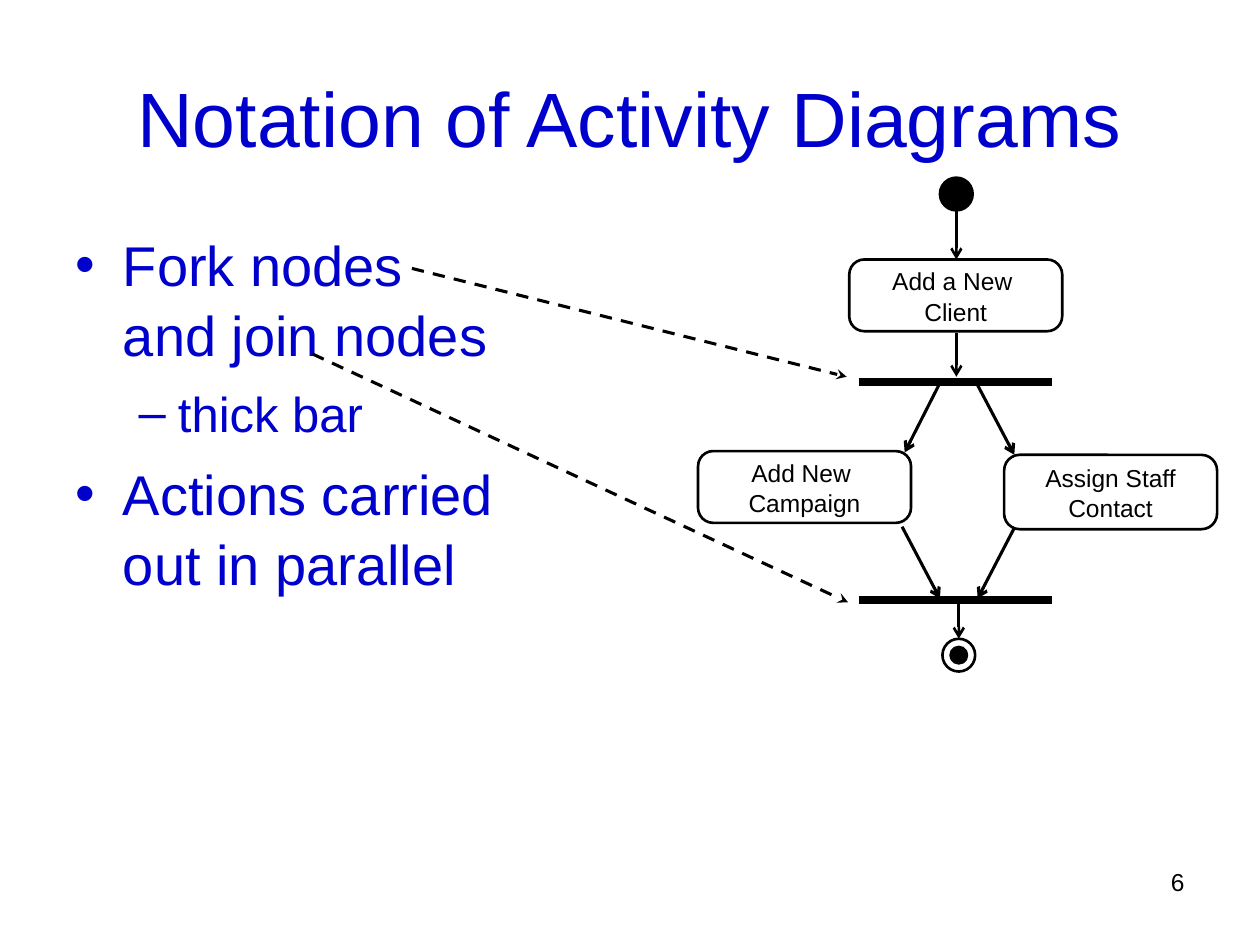
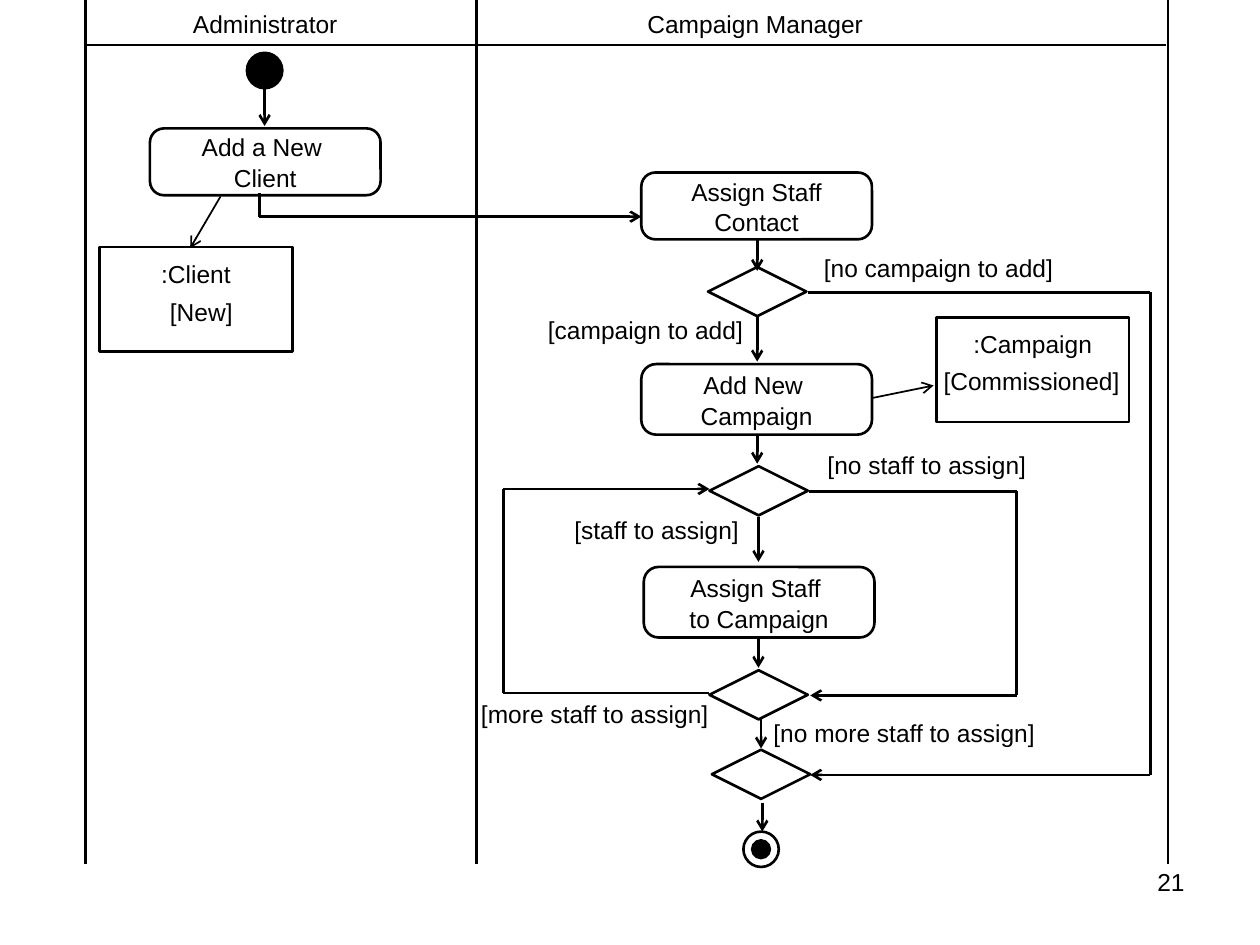
"""Build two slides on the notation of activity diagrams."""
from dataclasses import dataclass
from itertools import pairwise

from lxml.etree import SubElement
from pptx import Presentation
from pptx.dml.color import RGBColor
from pptx.enum.dml import MSO_LINE
from pptx.enum.shapes import MSO_CONNECTOR, MSO_SHAPE
from pptx.enum.text import MSO_ANCHOR, MSO_AUTO_SIZE, PP_ALIGN
from pptx.oxml.ns import qn
from pptx.shapes.autoshape import Shape
from pptx.slide import Slide
from pptx.text.text import TextFrame
from pptx.util import Pt


@dataclass(frozen=True)
class Theme:
    """Colours, font, type sizes and line widths of the deck."""
    blue: RGBColor = RGBColor(0x00, 0x00, 0xCC)
    black: RGBColor = RGBColor(0x00, 0x00, 0x00)
    white: RGBColor = RGBColor(0xFF, 0xFF, 0xFF)
    font: str = "Arial"
    title: float = 44
    levels: tuple[float, ...] = (32, 28)
    label: float = 14
    line_spacing: float = 1.05
    thin: float = 1
    medium: float = 1.5
    strong: float = 1.75
    bar: float = 4.5


THEME = Theme()


@dataclass(frozen=True)
class Node:
    """An outlined shape with optional text."""
    left: float
    top: float
    width: float
    height: float
    text: str = ""
    kind: MSO_SHAPE = MSO_SHAPE.ROUNDED_RECTANGLE
    anchor: MSO_ANCHOR = MSO_ANCHOR.MIDDLE


@dataclass(frozen=True)
class Route:
    """A line through points, with an optional arrowhead at its end."""
    points: tuple[tuple[float, float], ...]
    width: float = THEME.medium
    head: str = "arrow"
    dashed: bool = False


@dataclass(frozen=True)
class Label:
    """A line of free text."""
    left: float
    top: float
    text: str
    width: float = 200
    height: float = 24.5
    align: PP_ALIGN = PP_ALIGN.LEFT


@dataclass(frozen=True)
class Diagram:
    """All parts of one activity diagram."""
    start: tuple[float, float]
    end: tuple[float, float]
    diameter: float
    nodes: tuple[Node, ...]
    routes: tuple[Route, ...]
    labels: tuple[Label, ...]


def vertical(x: float, top: float, bottom: float) -> Route:
    """Return a downward arrow."""
    return Route(((x, top), (x, bottom)))


def plain(x1: float, y1: float, x2: float, y2: float, width: float) -> Route:
    """Return a line without an arrowhead."""
    return Route(((x1, y1), (x2, y2)), width, "")


def diagonal(x1: float, y1: float, x2: float, y2: float, width: float = THEME.strong) -> Route:
    """Return a slanted arrow."""
    return Route(((x1, y1), (x2, y2)), width)


def pointer(x1: float, y1: float, x2: float, y2: float) -> Route:
    """Return a dashed arrow from the text to the diagram."""
    return Route(((x1, y1), (x2, y2)), THEME.strong, "stealth", True)


def diamond(left: float, top: float) -> Node:
    """Return a decision or merge node."""
    return Node(left, top, 56.2, 28.1, kind=MSO_SHAPE.DIAMOND)


def object_box(left: float, top: float, text: str) -> Node:
    """Return an object node with its name at the top."""
    return Node(left, top, 110.2, 59.8, text, MSO_SHAPE.RECTANGLE, MSO_ANCHOR.TOP)


def page_number(number: int) -> Label:
    """Return the number in the lower right corner."""
    return Label(516.2, 491.8, str(number), 167.8, 37.4, PP_ALIGN.RIGHT)


FORK_Y, JOIN_Y = 218.2, 342.7
FORK_JOIN = Diagram(
    start=(546.5, 110.9),
    end=(547.9, 374.4),
    diameter=18.7,
    nodes=(
        Node(485.3, 148.3, 121.7, 41, "Add a New \vClient"),
        Node(573.8, 259.9, 121.7, 42.5, "Assign Staff\vContact"),
        Node(398.9, 257.8, 121.7, 41, "Add New \nCampaign"),
    ),
    routes=(
        vertical(546.5, 120.2, 148.3),
        vertical(546.5, 190.1, 215.3),
        vertical(547.9, 343.4, 365),
        *(plain(491, y, 601.2, y, THEME.bar) for y in (FORK_Y, JOIN_Y)),
        diagonal(537.1, 218.9, 517, 258.5),
        diagonal(558, 218.9, 579.6, 259.9),
        diagonal(579.6, 301.7, 558.7, 342),
        diagonal(515.5, 301, 537.1, 342),
        pointer(235.4, 153.4, 483.8, 215.3),
        pointer(178.6, 202.3, 484.6, 344.2),
    ),
    labels=(page_number(6),),
)

LANE_EDGES = (49, 272.2, 667.4)
SWIMLANES = Diagram(
    start=(151.2, 40.3),
    end=(434.9, 485.3),
    diameter=20.2,
    nodes=(
        Node(85.7, 73.4, 131.8, 38.2, "Add a New \vClient"),
        Node(366.5, 98.6, 131.8, 38.2, "Assign Staff\vContact"),
        Node(366.5, 208.1, 131.8, 40.3, "Add New \nCampaign"),
        Node(367.9, 324, 131.8, 40.3, "Assign Staff \nto Campaign"),
        diamond(404.6, 152.6),
        diamond(405.4, 266.4),
        diamond(405.4, 383),
        diamond(406.8, 428.4),
        object_box(56.9, 141.1, ":Client"),
        object_box(535, 181.4, ":Campaign"),
    ),
    routes=(
        *(plain(x, 0, x, 493.9, THEME.medium) for x in LANE_EDGES),
        plain(49, 25.9, 666, 25.9, THEME.thin),
        vertical(151.2, 50.4, 72),
        vertical(432.7, 136.8, 154.8),
        vertical(432.7, 180.7, 206.6),
        vertical(432.7, 248.4, 265),
        vertical(433.4, 295.2, 321.1),
        vertical(433.4, 365, 381.6),
        vertical(434.9, 411.1, 427.7),
        vertical(435.6, 458.6, 475.2),
        Route(((148.3, 110.2), (148.3, 123.8), (366.5, 123.8))),
        Route(((461.5, 167), (657.4, 167), (657.4, 442.8), (463, 442.8))),
        Route(((462.2, 280.8), (581, 280.8), (581, 397.4), (463, 397.4))),
        Route(((405.4, 396), (287.6, 396), (287.6, 279.4), (405.4, 279.4))),
        diagonal(126, 112.3, 108.7, 141.8, THEME.thin),
        diagonal(498.2, 227.5, 533.5, 220.3, THEME.thin),
    ),
    labels=(
        Label(96.6, 1.4, "Administrator", 110, align=PP_ALIGN.CENTER),
        Label(356.6, 1.4, "Campaign Manager", 150, align=PP_ALIGN.CENTER),
        Label(463.7, 141.1, "[no campaign to add]"),
        Label(306, 176.4, "[campaign to add]"),
        Label(465.8, 253.4, "[no staff to assign]"),
        Label(321.1, 290.9, "[staff to assign]"),
        Label(267.8, 396, "[more staff to assign]"),
        Label(434.9, 406.8, "[no more staff to assign]"),
        Label(90, 166.3, "[New]", 60),
        Label(532.1, 205.9, "[Commissioned]", 122),
        page_number(21),
    ),
)

BULLETS = (
    (0, "Fork nodes \vand join nodes"),
    (1, "thick bar"),
    (0, "Actions carried \vout in parallel"),
)


def format_text(frame: TextFrame, size: float, color: RGBColor, align: PP_ALIGN) -> None:
    """Apply font, size, colour and alignment to all paragraphs."""
    for para in frame.paragraphs:
        para.alignment = align
        for span in para.runs:
            span.font.name = THEME.font
            span.font.size = Pt(size)
            span.font.color.rgb = color


def draw_shape(page: Slide, node: Node, fill: RGBColor = THEME.white) -> Shape:
    """Draw one outlined shape and its text."""
    shape = page.shapes.add_shape(
        node.kind, Pt(node.left), Pt(node.top), Pt(node.width), Pt(node.height))
    shape.shadow.inherit = False
    shape.fill.solid()
    shape.fill.fore_color.rgb = fill
    shape.line.color.rgb = THEME.black
    shape.line.width = Pt(THEME.medium)
    if node.kind == MSO_SHAPE.ROUNDED_RECTANGLE:
        shape.adjustments[0] = 0.21
    if node.text:
        frame = shape.text_frame
        frame.text = node.text
        frame.word_wrap = False
        frame.vertical_anchor = node.anchor
        if node.anchor == MSO_ANCHOR.TOP:
            frame.margin_top = Pt(6)
        format_text(frame, THEME.label, THEME.black, PP_ALIGN.CENTER)
        for para in frame.paragraphs:
            para.line_spacing = THEME.line_spacing
    return shape


def draw_circle(page: Slide, center: tuple[float, float], diameter: float, fill: RGBColor) -> None:
    """Draw a circle around a centre."""
    left, top = (value - diameter / 2 for value in center)
    draw_shape(page, Node(left, top, diameter, diameter, kind=MSO_SHAPE.OVAL), fill)


def draw_route(page: Slide, route: Route) -> None:
    """Draw the segments of a route, with the arrowhead on the last."""
    for start, end in pairwise(route.points):
        connector = page.shapes.add_connector(
            MSO_CONNECTOR.STRAIGHT, *(Pt(value) for value in (*start, *end)))
        connector.line.color.rgb = THEME.black
        connector.line.width = Pt(route.width)
        if route.dashed:
            connector.line.dash_style = MSO_LINE.DASH
        properties = connector.element.spPr
        if route.head and end == route.points[-1]:
            SubElement(properties.find(qn("a:ln")), qn("a:tailEnd"), type=route.head)
        SubElement(properties, qn("a:effectLst"))


def draw_label(page: Slide, label: Label) -> None:
    """Draw a line of free text."""
    box = page.shapes.add_textbox(
        Pt(label.left), Pt(label.top), Pt(label.width), Pt(label.height))
    box.text_frame.word_wrap = True
    box.text_frame.text = label.text
    format_text(box.text_frame, THEME.label, THEME.black, label.align)


def draw_diagram(page: Slide, diagram: Diagram) -> None:
    """Draw all parts of an activity diagram."""
    for node in diagram.nodes:
        draw_shape(page, node)
    draw_circle(page, diagram.start, diagram.diameter, THEME.black)
    draw_circle(page, diagram.end, diagram.diameter, THEME.white)
    draw_circle(page, diagram.end, diagram.diameter / 2, THEME.black)
    for route in diagram.routes:
        draw_route(page, route)
    for label in diagram.labels:
        draw_label(page, label)


def place(shape: Shape, left: float, top: float, width: float, height: float) -> None:
    """Move and size a placeholder."""
    shape.left, shape.top = Pt(left), Pt(top)
    shape.width, shape.height = Pt(width), Pt(height)


def write_notation(page: Slide) -> None:
    """Fill the title and the bulleted list."""
    title, body = page.shapes.title, page.placeholders[1]
    place(title, 36, 21.6, 648, 90)
    title.text_frame.text = "Notation of Activity Diagrams"
    title.text_frame.vertical_anchor = MSO_ANCHOR.MIDDLE
    format_text(title.text_frame, THEME.title, THEME.blue, PP_ALIGN.CENTER)
    place(body, 36, 126, 648, 356.4)
    frame = body.text_frame
    frame.auto_size = MSO_AUTO_SIZE.NONE
    frame.text = "\n".join(text for _, text in BULLETS)
    format_text(frame, THEME.levels[0], THEME.blue, PP_ALIGN.LEFT)
    for para, (level, _) in zip(frame.paragraphs, BULLETS):
        para.level = level
        para.line_spacing = THEME.line_spacing
        para.space_before = Pt(THEME.levels[level] / 4)
        for span in para.runs:
            span.font.size = Pt(THEME.levels[level])


def main() -> None:
    """Build and save the deck."""
    deck = Presentation()
    deck.slide_width, deck.slide_height = Pt(720), Pt(540)
    notation = deck.slides.add_slide(deck.slide_layouts[1])
    write_notation(notation)
    draw_diagram(notation, FORK_JOIN)
    draw_diagram(deck.slides.add_slide(deck.slide_layouts[6]), SWIMLANES)
    deck.save("out.pptx")


if __name__ == "__main__":
    main()
